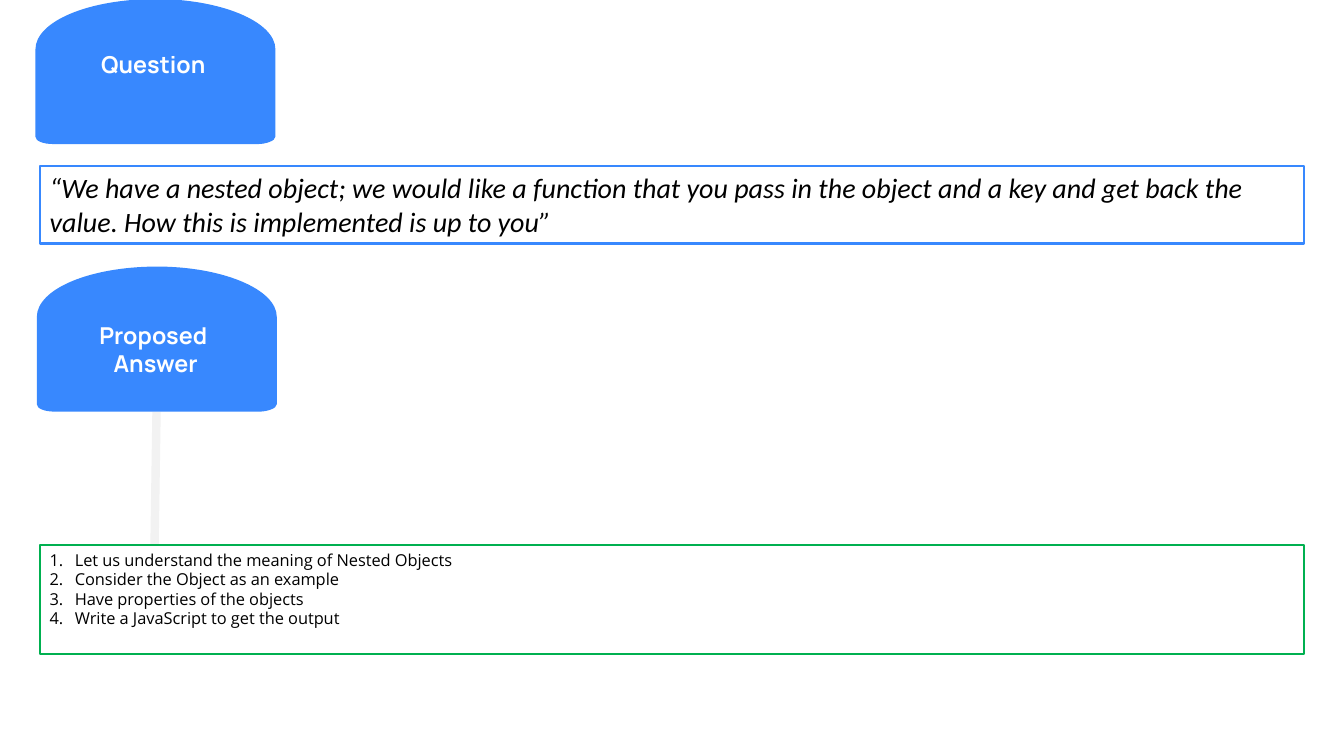
from dataclasses import dataclass

from lxml.etree import SubElement
from pptx import Presentation
from pptx.dml.color import RGBColor
from pptx.enum.shapes import MSO_CONNECTOR, MSO_SHAPE
from pptx.enum.text import MSO_ANCHOR, PP_ALIGN
from pptx.oxml.ns import qn
from pptx.util import Pt


@dataclass(frozen=True)
class Theme:
    blue: str = "3888FE"
    green: str = "00B050"
    grey: str = "F2F2F2"
    white: str = "FFFFFF"
    black: str = "000000"
    head: float = 16.67
    quote: float = 20
    step: float = 11.67


theme = Theme()


def color(code):
    return RGBColor.from_string(code)


def write(shape, text, font, size, ink, bold=False, italic=False,
          align=PP_ALIGN.LEFT, count=False):
    frame = shape.text_frame
    frame.word_wrap = True
    frame.vertical_anchor = MSO_ANCHOR.TOP
    frame.text = text
    for para in frame.paragraphs:
        para.alignment = align
        if count:
            props = para._p.get_or_add_pPr()
            props.set("marL", str(Pt(18)))
            props.set("indent", str(Pt(-18)))
            SubElement(props, qn("a:buFont"), typeface="+mj-lt")
            SubElement(props, qn("a:buAutoNum"), type="arabicPeriod")
        for run in para.runs:
            run.font.name = font
            run.font.size = Pt(size)
            run.font.bold = bold
            run.font.italic = italic
            run.font.color.rgb = color(ink)


deck = Presentation()
deck.slide_width, deck.slide_height = Pt(960), Pt(540)
slide = deck.slides.add_slide(deck.slide_layouts[6])
shapes = slide.shapes

# Connector, behind the panels and headings
link = shapes.add_connector(
    MSO_CONNECTOR.STRAIGHT, Pt(110.4), Pt(389.5), Pt(111.8), Pt(294.2))
link.line.color.rgb = color(theme.grey)
link.line.width = Pt(6)
SubElement(link._element.spPr, qn("a:effectLst"))

# Framed panels: question and steps
steps = "\n".join([
    "Let us understand the meaning of Nested Objects",
    "Consider the Object as an example",
    "Have properties of the objects",
    "Write a JavaScript to get the output",
])
quote = ("“We have a nested object; we would like a function that you pass in "
         "the object and a key and get back the value. How this is implemented "
         "is up to you”")
panels = [
    (118.4, 55.6, theme.blue, quote,
     dict(font="Calibri", size=theme.quote, italic=True)),
    (389.3, 78, theme.green, steps,
     dict(font="Open Sans", size=theme.step, count=True)),
]
for top, high, edge, text, style in panels:
    panel = shapes.add_shape(
        MSO_SHAPE.RECTANGLE, Pt(28.4), Pt(top), Pt(903.4), Pt(high))
    panel.shadow.inherit = False
    panel.fill.solid()
    panel.fill.fore_color.rgb = color(theme.white)
    panel.line.color.rgb = color(edge)
    panel.line.width = Pt(1.5)
    write(panel, text, ink=theme.black, **style)

# Domed headings: straight sides have one point, curves have three
wide, tall = 171.4, 103.6
crown, rise = 86, 36
sides = [
    [(13, tall)],
    [(5.5, tall), (0, 101.5), (0, 98.3)],
    [(0, rise)],
    [(0, 16), (38, 0), (crown, 0)],
    [(132, 0), (wide, 16), (wide, rise)],
    [(wide, 98.3)],
    [(wide, 101.5), (164, tall), (159, tall)],
]
heads = [
    (26.3, 190.4, "Proposed \nAnswer", 226.2, 47.4),
    (25.3, -0.7, "Question ", 32.3, 27.4),
]
for left, top, text, base, high in heads:
    dots = [(Pt(left + x), Pt(top + y)) for side in sides for x, y in side]
    outline = shapes.build_freeform(*dots[-1])
    outline.add_line_segments(dots, close=True)
    dome = outline.convert_to_shape()

    # Merge each run of three points into one curve
    lines = iter(list(dome._element.iter(qn("a:lnTo"))))
    for side in sides:
        parts = [next(lines) for _ in side]
        if len(parts) == 3:
            curve = parts[0].getparent()
            bend = SubElement(curve, qn("a:cubicBezTo"))
            parts[0].addprevious(bend)
            for part in parts:
                bend.append(part[0])
                curve.remove(part)

    dome.shadow.inherit = False
    dome.fill.solid()
    dome.fill.fore_color.rgb = color(theme.blue)
    dome.line.fill.background()
    label = shapes.add_textbox(Pt(23), Pt(base), Pt(176.4), Pt(high))
    write(label, text, "Manrope", theme.head, theme.white,
          bold=True, align=PP_ALIGN.CENTER)

deck.save("out.pptx")
